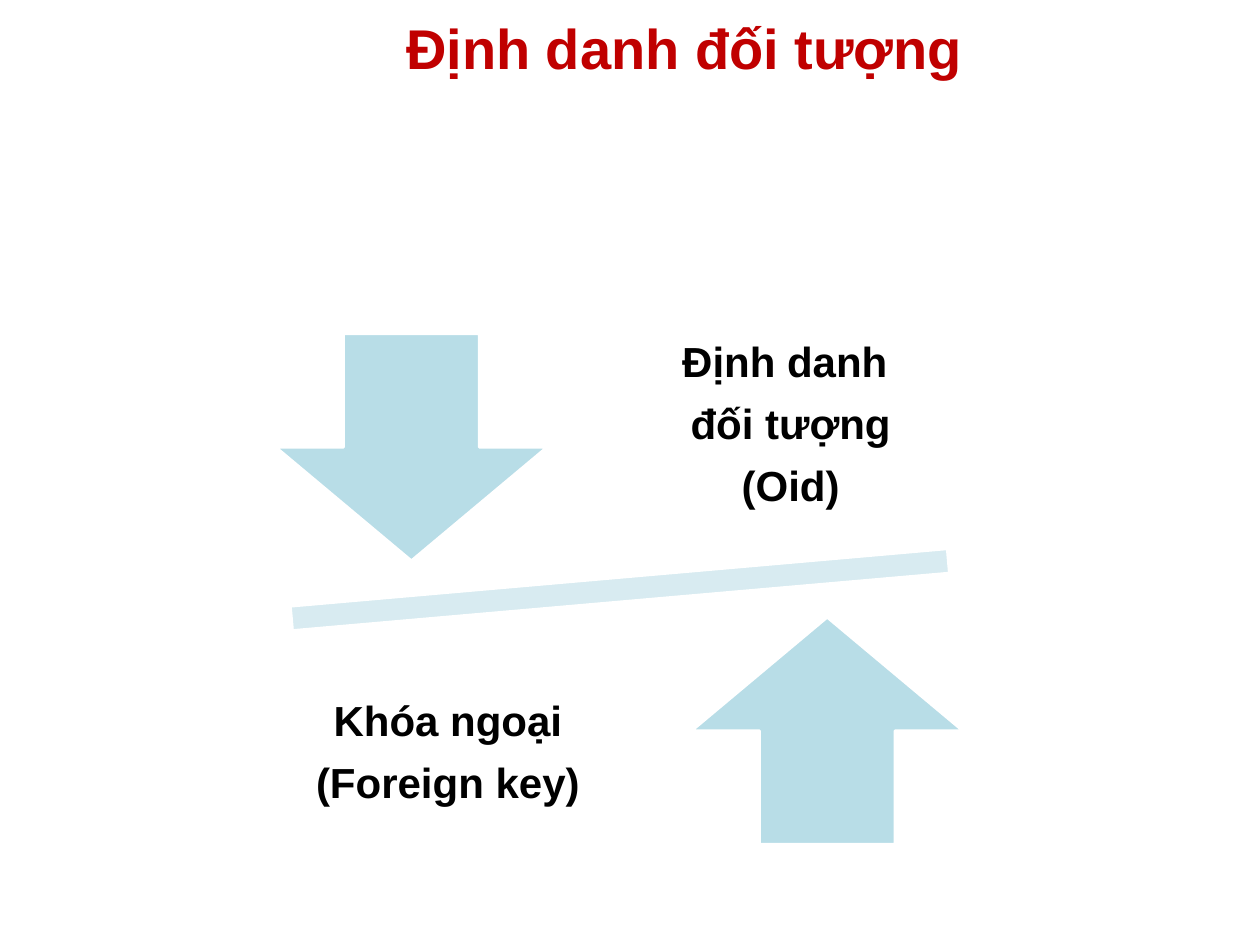
from pptx import Presentation
from pptx.dml.color import RGBColor
from pptx.enum.shapes import MSO_SHAPE as Shape
from pptx.enum.text import MSO_ANCHOR as Anchor, PP_ALIGN as Align
from pptx.util import Inches, Pt

WHITE = RGBColor(0xFF, 0xFF, 0xFF)
BLACK = RGBColor(0x00, 0x00, 0x00)
RED = RGBColor(0xC0, 0x00, 0x00)
ARROW_BLUE = RGBColor(0xB8, 0xDD, 0xE7)
BAR_BLUE = RGBColor(0xD8, 0xEB, 0xF1)
FONT = "Arial"

# Content: lines of text with left, top, width, height in inches
TITLE = (["Định danh đối tượng "], (1.58, 0.08, 7.83, 0.58))
LABELS = [
    (["Định danh ", "đối tượng", "(Oid)"], (4.77, 2.6, 3.01, 1.56)),
    (["Khóa ngoại", "(Foreign key)"], (1.57, 5.5, 3.97, 0.96)),
]
# Preset, place, fill, line width, rotation
SHAPES = [
    (Shape.ROUNDED_RECTANGLE, (1.67, 0.08, 7.82, 0.62), WHITE, 3, 0),
    (Shape.MATH_MINUS, (1.36, 4.27, 7.12, 0.82), BAR_BLUE, 1.5, 355),
    (Shape.DOWN_ARROW, (2.19, 2.65, 2.15, 1.8), ARROW_BLUE, 1.5, 0),
    (Shape.UP_ARROW, (5.49, 4.9, 2.15, 1.8), ARROW_BLUE, 1.5, 0),
]


def add_shape(page, preset, place, fill, line_width, rotation):
    shape = page.shapes.add_shape(preset, *map(Inches, place))
    shape.shadow.inherit = False
    shape.fill.solid()
    shape.fill.fore_color.rgb = fill
    shape.line.color.rgb = WHITE
    shape.line.width = Pt(line_width)
    shape.rotation = rotation


def add_text(page, lines, place, size, color, inset, spacing=1.0, after=0):
    box = page.shapes.add_textbox(*map(Inches, place))
    frame = box.text_frame
    frame.word_wrap = True
    frame.vertical_anchor = Anchor.MIDDLE
    frame.margin_left = frame.margin_right = Inches(inset[0])
    frame.margin_top = frame.margin_bottom = Inches(inset[1])
    for index, line in enumerate(lines):
        para = frame.add_paragraph() if index else frame.paragraphs[0]
        para.alignment = Align.CENTER
        para.line_spacing = spacing
        para.space_after = Pt(after)
        span = para.add_run()
        span.text = line
        span.font.name = FONT
        span.font.size = Pt(size)
        span.font.bold = True
        span.font.color.rgb = color


deck = Presentation()
deck.slide_width, deck.slide_height = Inches(10), Inches(7.5)
page = deck.slides.add_slide(deck.slide_layouts[6])

# Title band, balance bar and arrows
for shape_row in SHAPES:
    add_shape(page, *shape_row)

# Labels beside the arrows
for lines, place in LABELS:
    add_text(page, lines, place, 24, BLACK, (0.19, 0.19), 0.9, 9.5)

# Title
add_text(page, *TITLE, 32, RED, (0.1, 0.05))

deck.save("out.pptx")
